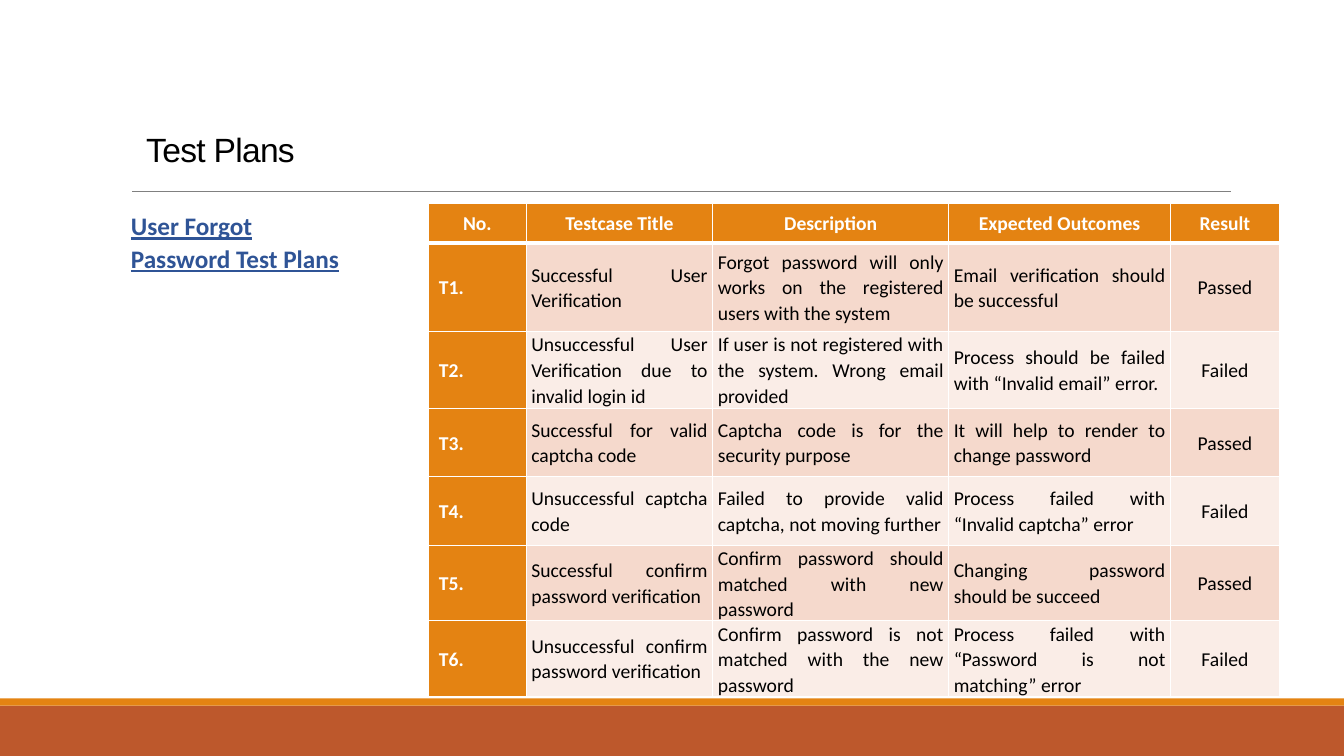
from lxml import etree
from pptx import Presentation
from pptx import util as u
from pptx.dml.color import RGBColor
from pptx.enum import shapes, text
from pptx.oxml.ns import qn

PX = 9144  # 100 px to the inch
ORANGE, RUST, WHITE, BLACK = "E48312", "BD582C", "FFFFFF", "000000"
GREY, BLUE = "808080", "2F5496"
BANDS = ["F5D9CC", "FAEDE7"]
LEFT, CENTER, JUSTIFY = text.PP_ALIGN.LEFT, text.PP_ALIGN.CENTER, text.PP_ALIGN.JUSTIFY

HEADINGS = ["No.", "Testcase Title", "Description", "Expected Outcomes", "Result"]
TESTS = [
    ("Successful User Verification",
     "Forgot password will only works on the registered users with the system",
     "Email verification should be successful", "Passed"),
    ("Unsuccessful User Verification due to invalid login id",
     "If user is not registered with the system. Wrong email provided",
     "Process should be failed with “Invalid email” error.", "Failed"),
    ("Successful for valid captcha code",
     "Captcha code is for the security purpose",
     "It will help to render to change password", "Passed"),
    ("Unsuccessful captcha code",
     "Failed to provide valid captcha, not moving further",
     "Process failed with “Invalid captcha” error", "Failed"),
    ("Successful confirm password verification",
     "Confirm password should matched with new password",
     "Changing password should be succeed", "Passed"),
    ("Unsuccessful confirm password verification",
     "Confirm password is not matched with the new password",
     "Process failed with “Password is not matching” error", "Failed"),
]
COLUMN_WIDTHS = [97, 185, 234, 220, 108]
ROW_HEIGHTS = [39, 88, 76, 68, 68, 68, 68]


def px(*lengths):
    return [u.Emu(length * PX) for length in lengths]


def color(value):
    return RGBColor.from_string(value)


class Page:
    font = "Calibri"

    def __init__(self, deck):
        self.slide = deck.slides.add_slide(deck.slide_layouts[5])
        self.shapes = self.slide.shapes

    def set_text(self, frame, words, size, ink, align=LEFT, spacing=1.07, bold=False, font=None):
        frame.word_wrap = True
        para = frame.paragraphs[0]
        para.text = words
        para.alignment = align
        para.line_spacing = spacing
        para.font.name = font or self.font
        para.font.size = u.Pt(size)
        para.font.bold = bold
        para.font.color.rgb = color(ink)
        return para

    def title(self, words, *place):
        box = self.shapes.title
        box.left, box.top, box.width, box.height = px(*place)
        box.text_frame.vertical_anchor = text.MSO_ANCHOR.BOTTOM
        para = self.set_text(box.text_frame, words, 24, BLACK, spacing=0.85, font="Arial")
        para.runs[0]._r.get_or_add_rPr().set("spc", "-50")

    def heading(self, words, *place):
        box = self.shapes.add_textbox(*px(*place))
        self.set_text(box.text_frame, words, 18, BLUE, bold=True).font.underline = True

    def bar(self, fill, *place):
        bar = self.shapes.add_shape(shapes.MSO_SHAPE.RECTANGLE, *px(*place))
        bar.shadow.inherit = False
        bar.fill.solid()
        bar.fill.fore_color.rgb = color(fill)
        bar.line.fill.background()

    def rule(self, *ends):
        rule = self.shapes.add_connector(shapes.MSO_CONNECTOR.STRAIGHT, *px(*ends))
        rule.line.color.rgb = color(GREY)
        rule.line.width = u.Pt(0.5)
        etree.SubElement(rule._element.spPr, qn("a:effectLst"))

    def cell(self, cell, words, fill, ink, align, bold, borders):
        """Fill one table cell; borders gives widths in points by side."""
        properties = cell._tc.get_or_add_tcPr()
        for side, width in borders.items():
            line = etree.SubElement(properties, qn(f"a:ln{side}"), w=str(u.Pt(width)))
            paint = etree.SubElement(line, qn("a:solidFill"))
            etree.SubElement(paint, qn("a:srgbClr"), val=WHITE)
        cell.fill.solid()
        cell.fill.fore_color.rgb = color(fill)
        cell.vertical_anchor = text.MSO_ANCHOR.MIDDLE
        side_margin = 6 if align == LEFT else 5
        cell.margin_left, cell.margin_right = px(side_margin, side_margin)
        cell.margin_top = cell.margin_bottom = 0
        self.set_text(cell.text_frame, words, 14, ink, align, bold=bold)

    def table(self, headings, tests, left, top):
        place = px(left, top, sum(COLUMN_WIDTHS), sum(ROW_HEIGHTS))
        table = self.shapes.add_table(len(tests) + 1, len(headings), *place).table
        table.horz_banding = False
        for column, width in zip(table.columns, px(*COLUMN_WIDTHS)):
            column.width = width
        for row, height in zip(table.rows, px(*ROW_HEIGHTS)):
            row.height = height
        rows = [headings] + [(f" T{n}.", *test) for n, test in enumerate(tests, 1)]
        last = len(headings) - 1
        for r, row in enumerate(rows):
            borders = {"L": 1, "R": 1, "T": 3 if r == 1 else 1, "B": 3 if r == 0 else 1}
            for c, words in enumerate(row):
                strong = r == 0 or c == 0
                fill = ORANGE if strong else BANDS[(r - 1) % 2]
                ink = WHITE if strong else BLACK
                align = CENTER if r == 0 or c == last else LEFT if c == 0 else JUSTIFY
                self.cell(table.cell(r, c), words, fill, ink, align, strong, borders)


def main():
    deck = Presentation()
    deck.slide_width, deck.slide_height = px(1333, 750)
    page = Page(deck)
    page.bar(RUST, 0, 700, 1333, 50)
    page.bar(ORANGE, 0, 693, 1333, 7)
    page.rule(131, 190, 1221, 190)
    page.title("Test Plans", 135, 112, 1100, 61)
    page.heading("User Forgot Password Test Plans", 120, 202, 232, 73)
    page.table(HEADINGS, TESTS, 425, 202)
    deck.save("out.pptx")


if __name__ == "__main__":
    main()
